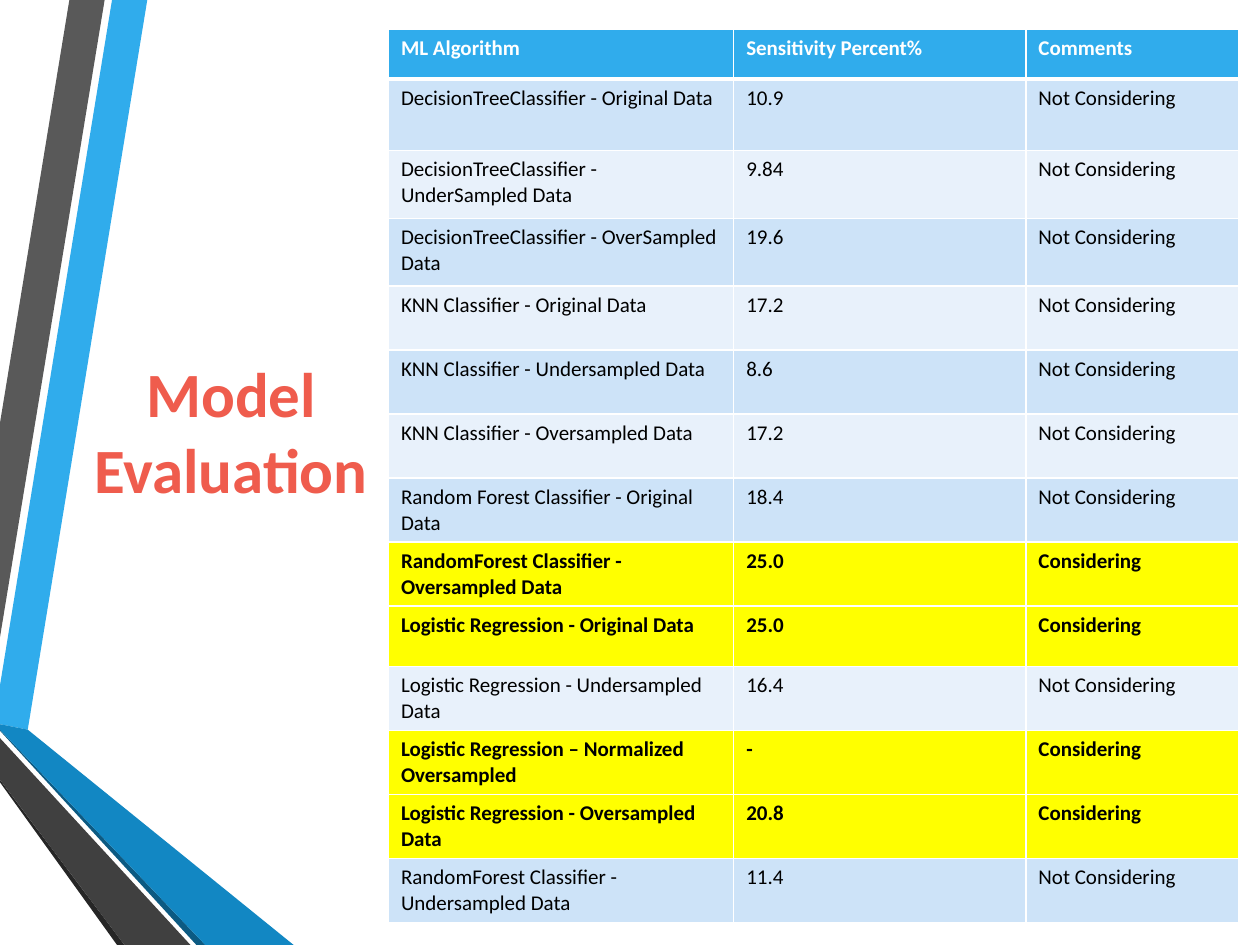
from lxml import etree
from pptx import Presentation
from pptx import util as u
from pptx.dml import color
from pptx.enum import text
from pptx.oxml import ns

COLOURS = {
    "sky": "30ACEC", "grey": "595959", "black": "262626", "navy": "0C5A82",
    "blue": "1287C3", "charcoal": "404040", "coral": "EF5C4D", "ink": "000000",
    "white": "FFFFFF", "band": "CDE3F8", "pale": "E8F1FB", "yellow": "FFFF00",
}
COLOURS = {name: color.RGBColor.from_string(code) for name, code in COLOURS.items()}


def write(frame, words, size=12, colour="ink", bold=False, align=text.PP_ALIGN.LEFT):
    para = frame.paragraphs[0]
    para.alignment = align
    span = para.add_run()
    span.text = words
    span.font.name = "Calibri"
    span.font.size = u.Pt(size)
    span.font.bold = bold
    span.font.color.rgb = COLOURS[colour]


def add_border(cell, side, points):
    line = etree.SubElement(cell._tc.get_or_add_tcPr(), ns.qn("a:ln" + side), w=str(u.Pt(points)))
    fill = etree.SubElement(line, ns.qn("a:solidFill"))
    etree.SubElement(fill, ns.qn("a:srgbClr"), val=str(COLOURS["white"]))


deck = Presentation()
deck.slide_width, deck.slide_height = u.Cm(25.4), u.Cm(19.05)
page = deck.slides.add_slide(deck.slide_layouts[6])

# Ribbons on the left edge, corner points in centimetres
ribbons = [
    ("sky", [(0, 13.82), (0, 14.6), (0.56, 14.71), (2.97, 0), (2.26, 0)]),
    ("grey", [(2.11, 0), (1.4, 0), (0, 8.53), (0, 12.85)]),
    ("black", [(0, 15.72), (0, 15.77), (2.36, 19.05), (2.51, 19.05)]),
    ("navy", [(0, 14.71), (0, 14.73), (3.96, 19.05), (4.14, 19.05)]),
    ("blue", [(0, 14.71), (4.14, 19.05), (5.92, 19.05), (0.56, 14.71), (0, 14.6)]),
    ("charcoal", [(0, 15.72), (2.51, 19.05), (3.84, 19.05), (0, 14.88)]),
]
for colour, corners in ribbons:
    points = [(u.Cm(x), u.Cm(y)) for x, y in corners]
    outline = page.shapes.build_freeform(*points[0])
    outline.add_line_segments(points[1:], close=True)
    ribbon = outline.convert_to_shape()
    ribbon.shadow.inherit = False
    ribbon.fill.solid()
    ribbon.fill.fore_color.rgb = COLOURS[colour]
    ribbon.line.fill.background()

# Title
box = page.shapes.add_textbox(u.Cm(1.27), u.Cm(6.78), u.Cm(6.78), u.Cm(3.78))
box.text_frame.word_wrap = True
box.text_frame.vertical_anchor = text.MSO_ANCHOR.MIDDLE
write(box.text_frame, "Model Evaluation", size=36, colour="coral", bold=True,
      align=text.PP_ALIGN.CENTER)

# Results table
results = [
    ("ML Algorithm", "Sensitivity Percent%", "Comments"),
    ("DecisionTreeClassifier - Original Data", "10.9", "Not Considering"),
    ("DecisionTreeClassifier - UnderSampled Data", "9.84", "Not Considering"),
    ("DecisionTreeClassifier - OverSampled Data", "19.6", "Not Considering"),
    ("KNN Classifier - Original Data", "17.2", "Not Considering"),
    ("KNN Classifier - Undersampled Data", "8.6", "Not Considering"),
    ("KNN Classifier - Oversampled Data", "17.2", "Not Considering"),
    ("Random Forest Classifier - Original Data", "18.4", "Not Considering"),
    ("RandomForest Classifier - Oversampled Data", "25.0", "Considering"),
    ("Logistic Regression - Original Data", "25.0", "Considering"),
    ("Logistic Regression - Undersampled Data", "16.4", "Not Considering"),
    ("Logistic Regression – Normalized Oversampled", "-", "Considering"),
    ("Logistic Regression - Oversampled Data", "20.8", "Considering"),
    ("RandomForest Classifier - Undersampled Data", "11.4", "Not Considering"),
]
widths = [6.96, 5.89, 4.29]
heights = [1.0, 1.44, 1.37, 1.37] + [1.29] * 5 + [1.22] + [1.29] * 4
table = page.shapes.add_table(len(results), len(widths), u.Cm(7.83), u.Cm(0.59),
                              u.Cm(sum(widths)), u.Cm(sum(heights))).table
for column, width in zip(table.columns, widths):
    column.width = u.Cm(width)

for index, (row, height, values) in enumerate(zip(table.rows, heights, results)):
    row.height = u.Cm(height)
    header = index == 0
    chosen = values[-1] == "Considering"
    if header:
        fill = "sky"
    elif chosen:
        fill = "yellow"
    else:
        fill = "band" if index % 2 else "pale"
    for cell, value in zip(row.cells, values):
        for side in "LRTB":
            thick = (header and side == "B") or (index == 1 and side == "T")
            add_border(cell, side, 3 if thick else 1)
        cell.fill.solid()
        cell.fill.fore_color.rgb = COLOURS[fill]
        write(cell.text_frame, value, colour="white" if header else "ink",
              bold=header or chosen)

deck.save("out.pptx")
